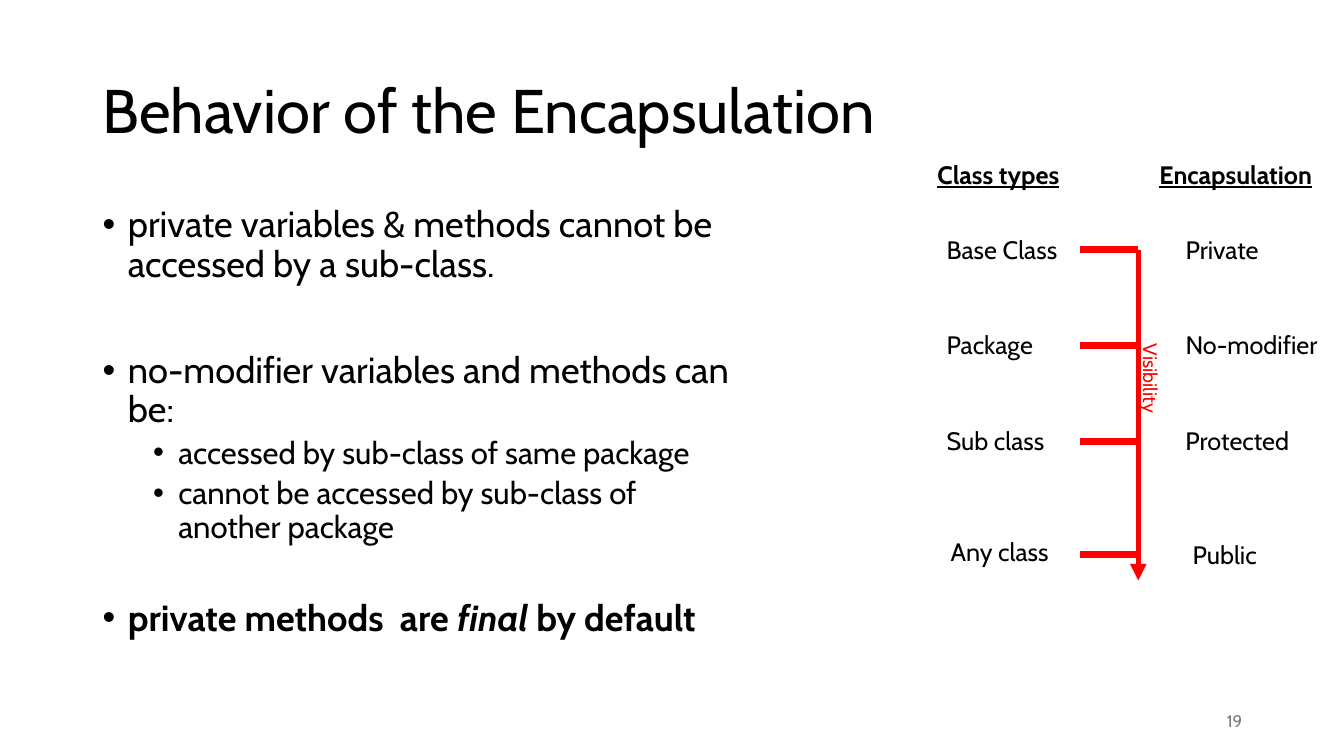
from dataclasses import dataclass
from lxml.etree import SubElement
from pptx import Presentation
from pptx.dml.color import RGBColor
from pptx.enum.shapes import MSO_CONNECTOR as Connector
from pptx.enum.text import MSO_ANCHOR as Anchor, PP_ALIGN as Align
from pptx.oxml.ns import qn
from pptx.util import Pt


@dataclass(frozen=True)
class Theme:
    font: str = "Cabin"
    ink: str = "000000"
    muted: str = "797979"
    accent: str = "FF0000"
    title: float = 44
    body: float = 25.9
    sub: float = 22.2
    label: float = 18
    visibility: float = 14
    number: float = 12
    arrow: float = 4
    tick: float = 5


@dataclass(frozen=True)
class Span:
    text: str
    size: float
    color: str = "000000"
    bold: bool = False
    italic: bool = False
    underline: bool = False


@dataclass(frozen=True)
class Frame:
    left: int
    top: int
    width: int
    height: int = 40


@dataclass(frozen=True)
class Bullet:
    spans: tuple[Span, ...]
    before: int
    indent: int


@dataclass(frozen=True)
class Level:
    class_type: str
    class_frame: Frame
    modifier: str
    modifier_frame: Frame
    tick_y: int


THEME = Theme()
RAIL_X, TICK_X = 1129, 1071
HANG = 25

HEADINGS = (
    ("Class types", Frame(920, 153, 154)),
    ("Encapsulation", Frame(1140, 153, 185)),
)
LEVELS = (
    Level("Base Class", Frame(929, 228, 142), "Private", Frame(1166, 228, 95), 248),
    Level("Package", Frame(929, 322, 112), "No-modifier", Frame(1166, 322, 151), 343),
    Level("Sub class", Frame(929, 417, 126), "Protected", Frame(1166, 417, 127), 438),
    Level("Any class", Frame(933, 527, 123), "Public", Frame(1173, 530, 88), 550),
)
BULLETS = (
    Bullet((Span("private variables & methods cannot be accessed by a sub-class.", THEME.body),), 10, 25),
    Bullet((Span("no-modifier variables and methods can be:", THEME.body),), 48, 25),
    Bullet((Span("accessed by sub-class of same package", THEME.sub),), 5, 75),
    Bullet((Span("cannot be accessed by sub-class of another package", THEME.sub),), 5, 75),
    Bullet(
        (
            Span("private methods  are ", THEME.body, bold=True),
            Span("final", THEME.body, bold=True, italic=True),
            Span(" by default", THEME.body, bold=True),
        ),
        39,
        25,
    ),
)


def px(length: int) -> int:
    return length * 9144


def add_box(page, frame: Frame, anchor=Anchor.TOP):
    box = page.shapes.add_textbox(px(frame.left), px(frame.top), px(frame.width), px(frame.height))
    box.text_frame.word_wrap = True
    box.text_frame.vertical_anchor = anchor
    return box


def add_span(para, span: Span) -> None:
    run = para.add_run()
    run.text = span.text
    font = run.font
    font.name = THEME.font
    font.size = Pt(span.size)
    font.color.rgb = RGBColor.from_string(span.color)
    font.bold, font.italic, font.underline = span.bold, span.italic, span.underline


def add_label(page, frame: Frame, span: Span):
    box = add_box(page, frame)
    box.text_frame.margin_right = 0
    add_span(box.text_frame.paragraphs[0], span)
    return box


def add_bullets(page, frame: Frame, bullets: tuple[Bullet, ...]) -> None:
    text = add_box(page, frame).text_frame
    for index, bullet in enumerate(bullets):
        para = text.add_paragraph() if index else text.paragraphs[0]
        para.line_spacing = 0.9
        para.space_before = Pt(bullet.before)
        properties = para._p.get_or_add_pPr()
        properties.set("marL", str(px(bullet.indent)))
        properties.set("indent", str(px(-HANG)))
        SubElement(properties, qn("a:buFont"), typeface="Arial")
        SubElement(properties, qn("a:buChar"), char="•")
        for span in bullet.spans:
            add_span(para, span)


def add_line(page, start: tuple[int, int], end: tuple[int, int], width: float, arrow: bool = False):
    line = page.shapes.add_connector(Connector.STRAIGHT, *map(px, start + end))
    line.line.color.rgb = RGBColor.from_string(THEME.accent)
    line.line.width = Pt(width)
    if arrow:
        SubElement(line.line._get_or_add_ln(), qn("a:tailEnd"), type="triangle")
    SubElement(line._element.spPr, qn("a:effectLst"))
    return line


def add_level(page, level: Level) -> None:
    box = add_label(page, level.class_frame, Span(level.class_type, THEME.label))
    add_label(page, level.modifier_frame, Span(level.modifier, THEME.label))
    tick = add_line(page, (TICK_X, level.tick_y), (RAIL_X, level.tick_y), THEME.tick)
    if level.class_frame.left + level.class_frame.width == TICK_X:
        tick.begin_connect(box, 3)


def main() -> None:
    deck = Presentation()
    deck.slide_width, deck.slide_height = px(1333), px(750)
    page = deck.slides.add_slide(deck.slide_layouts[6])

    title = add_box(page, Frame(92, 40, 1150, 145), Anchor.MIDDLE).text_frame.paragraphs[0]
    title.line_spacing = 0.9
    add_span(title, Span("Behavior of the Encapsulation", THEME.title))
    add_bullets(page, Frame(92, 200, 654, 476), BULLETS)

    number = add_box(page, Frame(942, 695, 300), Anchor.MIDDLE).text_frame.paragraphs[0]
    number.alignment = Align.RIGHT
    add_span(number, Span("19", THEME.number, THEME.muted))

    for heading, frame in HEADINGS:
        add_label(page, frame, Span(heading, THEME.label, bold=True, underline=True))
    visibility = add_label(page, Frame(1095, 360, 92, 34), Span("Visibility", THEME.visibility, THEME.accent))
    visibility.rotation = 90
    add_line(page, (RAIL_X, 248), (RAIL_X, 576), THEME.arrow, arrow=True)
    for level in LEVELS:
        add_level(page, level)

    deck.save("out.pptx")


if __name__ == "__main__":
    main()
